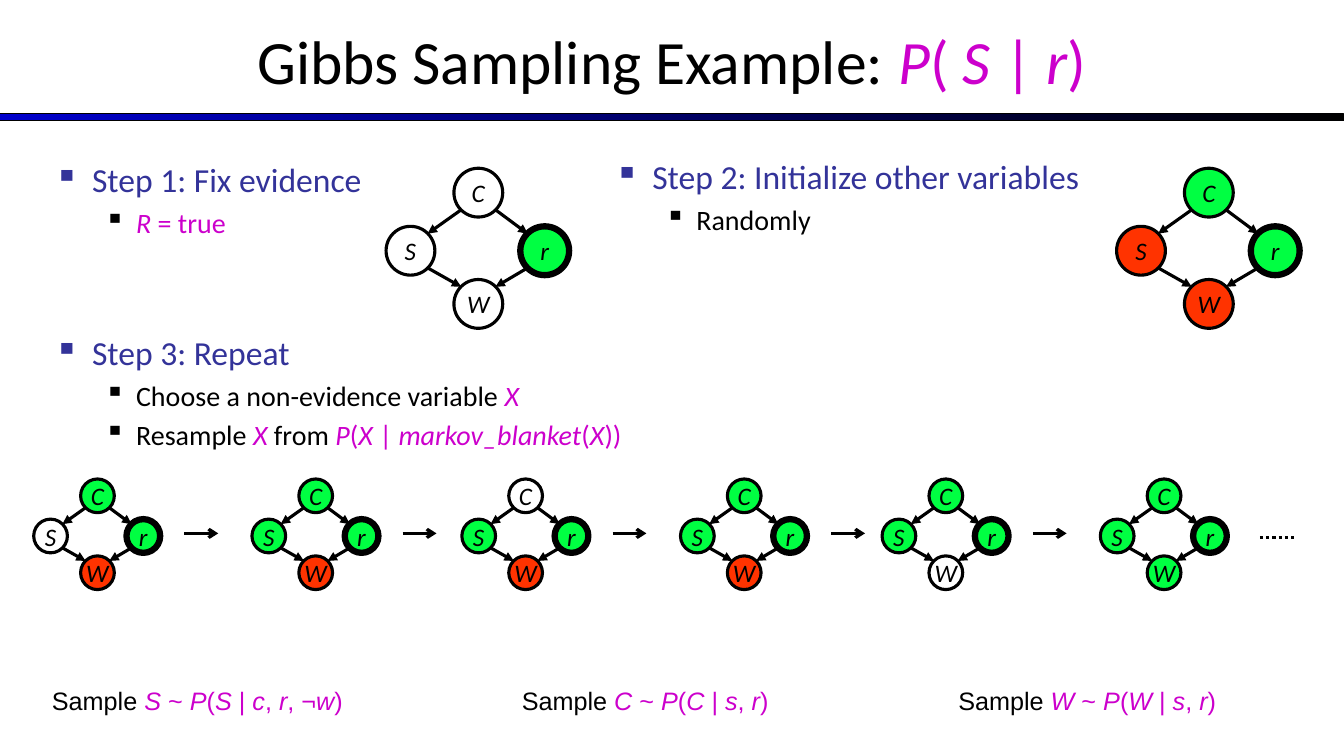
from dataclasses import dataclass

from lxml.etree import SubElement
from pptx import Presentation
from pptx.dml.color import RGBColor as RGB
from pptx.enum.dml import MSO_LINE as Dash
from pptx.enum.shapes import MSO_CONNECTOR as Link, MSO_SHAPE as Form
from pptx.enum.text import MSO_ANCHOR as Anchor, MSO_AUTO_SIZE as Fit, PP_ALIGN as Align
from pptx.oxml.ns import qn
from pptx.util import Cm, Pt


@dataclass(frozen=True)
class Theme:
    ink: str = "000000"
    math: str = "CC00CC"
    step: str = "333399"
    bar: str = "0000CC"
    green: str = "00FF42"
    red: str = "FF3300"
    white: str = "FFFFFF"
    body: str = "Calibri"
    plain: str = "Arial"
    title: int = 44
    head: int = 24
    item: int = 20
    label: int = 18
    thin: float = 2.25
    thick: float = 4.5


T = Theme()
FILLS = {"g": T.green, "r": T.red, "w": T.white}
# Node corners and arrow ends, in node widths
NODES = {"C": (1.39, 0), "S": (0, 1.19), "r": (2.75, 1.19), "W": (1.39, 2.28)}
EDGES = ["CS", "Cr", "SW", "rW"]
NEAR, FAR = 0.15, 0.85


def write(para, text, size, color=T.ink, face=T.body):
    """Fill a paragraph: {...} marks the math colour, *...* marks italics."""
    font = para.font
    font.name, font.size = face, Pt(size)
    font.color.rgb = RGB.from_string(color)
    for i, part in enumerate(text.replace("}", "{").split("{")):
        for j, piece in enumerate(part.split("*")):
            if not piece:
                continue
            run = para.add_run()
            run.text = piece
            if i % 2:
                run.font.color.rgb = RGB.from_string(T.math)
            if j % 2:
                run.font.italic = True


def add_box(slide, left, top, width, height, wrap=True):
    box = slide.shapes.add_textbox(Cm(left), Cm(top), Cm(width), Cm(height))
    box.text_frame.word_wrap = wrap
    return box.text_frame


def add_title(slide, text):
    frame = add_box(slide, 0, -0.08, 33.87, 3.18)
    frame.vertical_anchor = Anchor.MIDDLE
    para = frame.paragraphs[0]
    para.alignment = Align.CENTER
    write(para, text, T.title)


def add_bar(slide):
    bar = slide.shapes.add_shape(Form.RECTANGLE, 0, Cm(2.87), Cm(33.87), Cm(0.18))
    bar.shadow.inherit = False
    bar.fill.gradient()
    bar.fill.gradient_angle = 0
    for stop, color in zip(bar.fill.gradient_stops, (T.bar, T.ink)):
        stop.color.rgb = RGB.from_string(color)
    bar.line.color.rgb = RGB.from_string(T.ink)
    bar.line.width = Pt(0.75)


def add_bullet(para, margin, hang, color):
    props = para._p.get_or_add_pPr()
    props.set("marL", str(Cm(margin)))
    props.set("indent", str(-Cm(hang)))
    tint = SubElement(props, qn("a:buClr"))
    SubElement(tint, qn("a:srgbClr")).set("val", color)
    SubElement(props, qn("a:buChar")).set("char", "▪")


def add_step(slide, left, top, height, head, items):
    frame = add_box(slide, left, top, 18.14, height)
    para = frame.paragraphs[0]
    add_bullet(para, 0.95, 0.95, T.step)
    para.space_before = Pt(4.8)
    write(para, head, T.head, T.step)
    for item in items:
        para = frame.add_paragraph()
        para.level = 1
        add_bullet(para, 2.06, 0.79, T.ink)
        para.space_before = Pt(4)
        write(para, item, T.item)


def add_line(shapes, start, end, tip=None):
    ends = [Cm(n) for n in (*start, *end)]
    line = shapes.add_connector(Link.STRAIGHT, *ends)
    line.line.color.rgb = RGB.from_string(T.ink)
    line.line.width = Pt(T.thin)
    props = line.element.spPr
    SubElement(props, qn("a:effectLst"))
    if tip:
        SubElement(props.find(qn("a:ln")), qn("a:tailEnd")).set("type", tip)
    return line


def add_node(shapes, name, left, top, size, fill):
    node = shapes.add_shape(Form.OVAL, Cm(left), Cm(top), Cm(size), Cm(size))
    node.shadow.inherit = False
    if fill in FILLS:
        node.fill.solid()
        node.fill.fore_color.rgb = RGB.from_string(FILLS[fill])
    else:
        node.fill.background()
    node.line.color.rgb = RGB.from_string(T.ink)
    node.line.width = Pt(T.thick if name == "r" else T.thin)
    frame = node.text_frame
    frame.word_wrap = False
    frame.vertical_anchor = Anchor.MIDDLE
    para = frame.paragraphs[0]
    para.alignment = Align.CENTER
    write(para, f"*{name}*", T.label)


def add_net(slide, left, top, size, state):
    """Draw one network; state gives the fills of C, S, r and W."""
    shapes = slide.shapes.add_group_shape().shapes
    spots = {k: (left + x * size, top + y * size) for k, (x, y) in NODES.items()}
    for (name, spot), fill in zip(spots.items(), state):
        add_node(shapes, name, *spot, size, fill)
    for tail, head in EDGES:
        (x1, y1), (x2, y2) = spots[tail], spots[head]
        out, into = (FAR, NEAR) if x2 > x1 else (NEAR, FAR)
        add_line(shapes, (x1 + out * size, y1 + FAR * size),
                 (x2 + into * size, y2 + NEAR * size), "triangle")


def add_chain(slide):
    lefts = [0.85, 6.35, 11.64, 17.15, 22.23, 27.73]
    states = ["g-gr", "gggr", "-ggr", "gggr", "ggg-", "gggg"]
    for left, state in zip(lefts, states):
        add_net(slide, left, 12.07, 0.85, state)
    for left in lefts[:-1]:
        add_line(slide.shapes, (left + 3.8, 13.44), (left + 4.65, 13.44), "arrow")
    dots = add_line(slide.shapes, (31.75, 13.55), (32.6, 13.55))
    dots.line.dash_style = Dash.ROUND_DOT


def add_note(slide, left, width, text):
    frame = add_box(slide, left, 17.15, width, 1.02, wrap=False)
    frame.auto_size = Fit.SHAPE_TO_FIT_TEXT
    write(frame.paragraphs[0], text, T.label, face=T.plain)


def main():
    deck = Presentation()
    deck.slide_width, deck.slide_height = Cm(33.87), Cm(19.05)
    slide = deck.slides.add_slide(deck.slide_layouts[6])

    add_bar(slide)
    add_title(slide, "Gibbs Sampling Example: {*P*( *S* | *r*)}")
    add_step(slide, 1.12, 3.89, 2.4, "Step 1: Fix evidence", ["{*R* = true}"])
    add_step(slide, 15.24, 3.81, 3.38, "Step 2: Initialize other variables", ["Randomly"])
    add_step(slide, 1.12, 8.25, 4.04, "Step 3: Repeat", [
        "Choose a non-evidence variable {*X*}",
        "Resample {*X*} from {*P*(*X *| *markov_blanket*(*X*))}",
    ])
    add_net(slide, 9.73, 4.24, 1.23, "wwgw")
    add_net(slide, 28.14, 4.24, 1.23, "grgr")
    add_chain(slide)
    add_note(slide, 1.06, 7.95, "Sample {*S* ~ *P*(*S* | *c*, *r*, *¬w*)}")
    add_note(slide, 12.9, 6.78, "Sample {*C* ~ *P*(*C* | *s*, *r*)}")
    add_note(slide, 23.9, 7.09, "Sample {*W* ~ *P*(*W* | *s*, *r*)}")
    deck.save("out.pptx")


if __name__ == "__main__":
    main()
